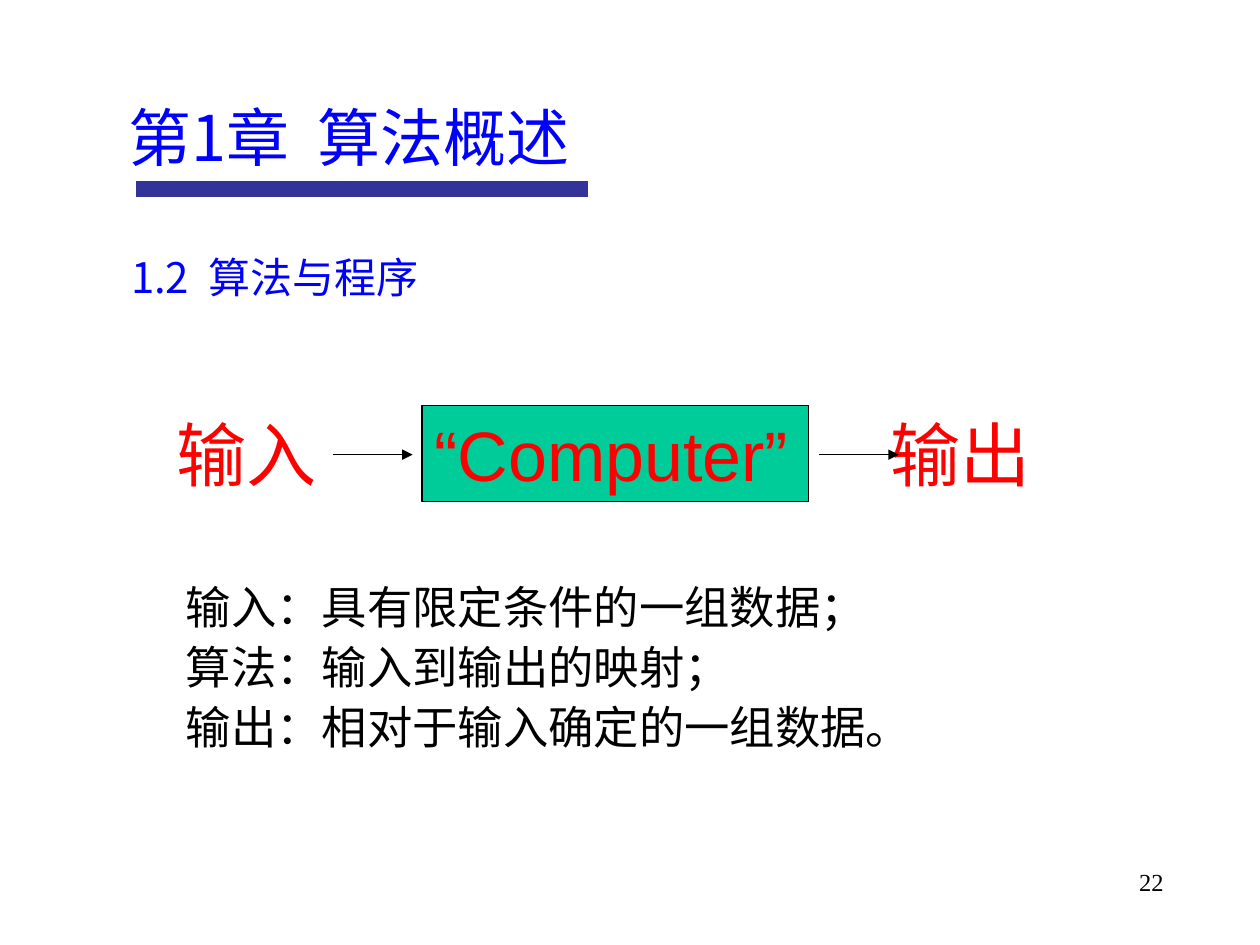
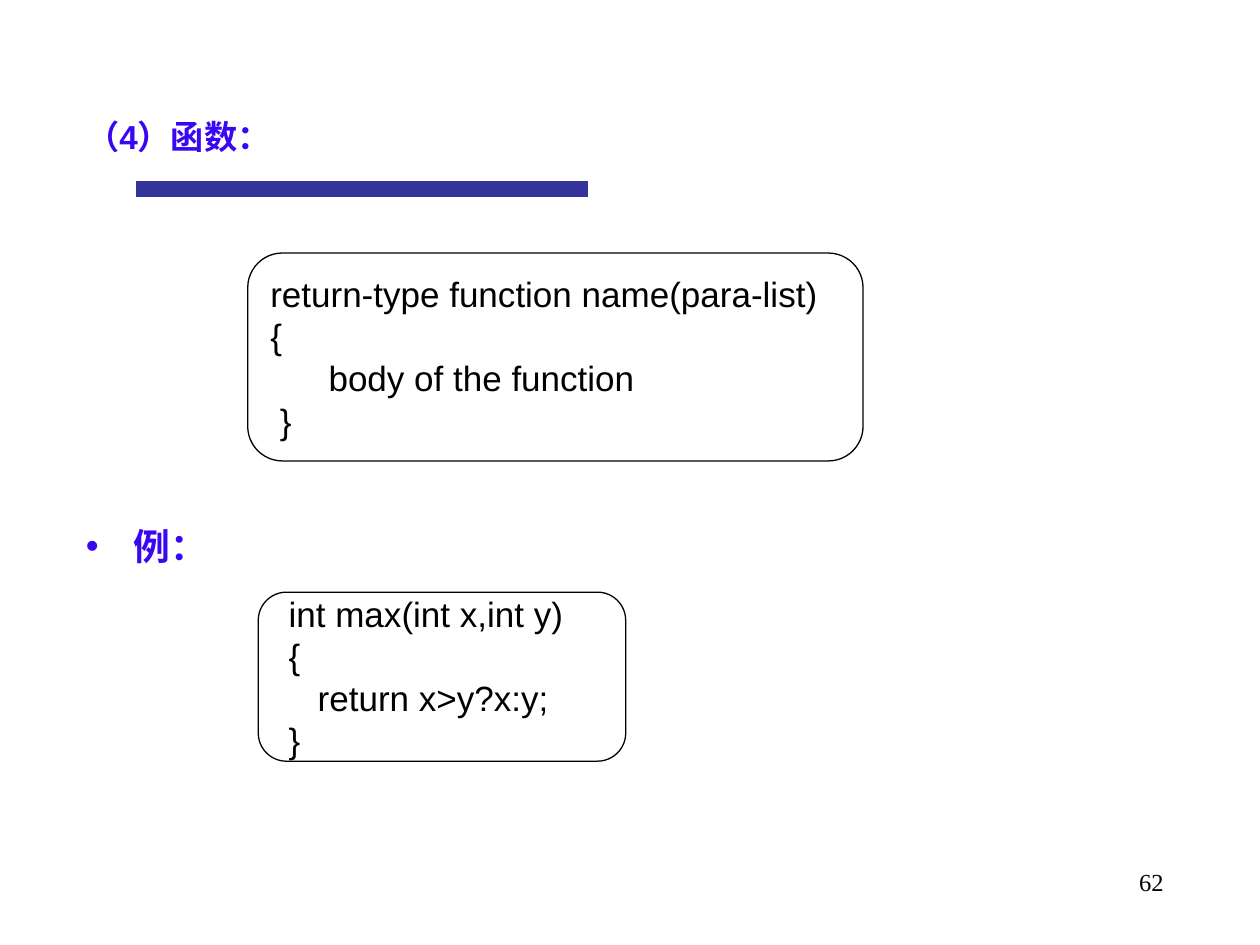
import pptx
import pptx.util
import pptx.dml.color
import pptx.enum.shapes
import pptx.enum.text
import pptx.oxml
import pptx.oxml.ns
import lxml.etree

RGB = pptx.dml.color.RGBColor
BLACK, WHITE = RGB(0, 0, 0), RGB(255, 255, 255)
BLUE, RED = RGB(0, 0, 255), RGB(255, 0, 0)
VIOLET, NAVY, GREEN = RGB(0x39, 0x07, 0xF1), RGB(0x33, 0x33, 0x99), RGB(0, 0xCC, 0x99)
SANS, HAN, SERIF = "Arial", "Noto Sans CJK SC", "Times New Roman"
ALIGN = pptx.enum.text.PP_ALIGN
ANCHOR = pptx.enum.text.MSO_ANCHOR
FORM = pptx.enum.shapes.MSO_SHAPE
qn = pptx.oxml.ns.qn

deck = pptx.Presentation()
deck.slide_width = pptx.util.Inches(10)
deck.slide_height = pptx.util.Inches(7.5)
UNIT = deck.slide_width / 120  # grid of 120 columns by 90 rows


def write(shape, grid, lines, font, anchor=ANCHOR.MIDDLE, align=ALIGN.LEFT, gap=1.0):
    """Place a shape on the grid and fill it with formatted lines."""
    for name, cell in zip(("left", "top", "width", "height"), grid):
        setattr(shape, name, round(cell * UNIT))
    frame = shape.text_frame
    frame.text = lines
    frame.word_wrap = True
    frame.auto_size = pptx.enum.text.MSO_AUTO_SIZE.NONE
    frame.vertical_anchor = anchor
    for para in frame.paragraphs:
        para.alignment = align
        para.line_spacing = gap
        for run in para.runs:
            for name, value in font.items():
                if name == "color":
                    run.font.color.rgb = value
                else:
                    setattr(run.font, name, value)
            east = lxml.etree.SubElement(run.font._element, qn("a:ea"))
            east.set("typeface", HAN)
    return frame


def rule(slide, start, end, row, color, width):
    """Draw a level line between two columns."""
    line = slide.shapes.add_connector(
        pptx.enum.shapes.MSO_CONNECTOR.STRAIGHT,
        *(round(cell * UNIT) for cell in (start, row, end, row)))
    line.line.color.rgb = color
    line.line.width = pptx.util.Pt(width)
    lxml.etree.SubElement(line._element.spPr, qn("a:effectLst"))
    return line


# Shared parts: title, bar and page number
Pt = pptx.util.Pt
pages = [
    ("第1章  算法概述", (11, 8, 67, 10), dict(name=HAN, size=Pt(36), color=BLUE), "22"),
    ("（4）函数：", (7, 5, 105, 16),
     dict(name=SANS, size=Pt(19), color=VIOLET, bold=True), "62"),
]
slides = []
for title, grid, font, number in pages:
    slide = deck.slides.add_slide(deck.slide_layouts[5])
    rule(slide, 13, 56, 18, NAVY, 9.5)
    write(slide.shapes.title, grid, title, font)
    write(slide.shapes.add_textbox(0, 0, 0, 0), (86, 82, 26, 6), number,
          dict(name=SERIF, size=Pt(14), color=BLACK), ANCHOR.TOP, ALIGN.RIGHT)
    slides.append(slide)
intro, func = slides

# Section heading
write(intro.shapes.add_textbox(0, 0, 0, 0), (11.3, 23.4, 36, 6), "1.2  算法与程序",
      dict(name=HAN, size=Pt(24), color=BLUE), ANCHOR.TOP)

# Flow from input to output
large = dict(name=SANS, size=Pt(40), color=RED)
for label, left, width in (("输入", 15.6, 18.8), ("“Computer”", 40.2, 36.8),
                           ("输出", 83.6, 18.8)):
    box = intro.shapes.add_shape(FORM.RECTANGLE, 0, 0, 0, 0)
    box.shadow.inherit = False
    if label == "“Computer”":
        box.fill.solid()
        box.fill.fore_color.rgb = GREEN
        box.line.color.rgb = BLACK
        box.line.width = Pt(0.75)
    else:
        box.fill.background()
        box.line.fill.background()
    write(box, (left, 38.6, width, 9.2), label, large)
for start in (31.7, 78):
    arrow = rule(intro, start, start + 7.6, 43.3, BLACK, 0.75)
    tip = lxml.etree.SubElement(arrow.line._get_or_add_ln(), qn("a:tailEnd"))
    tip.set("type", "triangle")

# Meaning of each term
write(intro.shapes.add_textbox(0, 0, 0, 0), (16.5, 54, 86, 18.4),
      "输入：具有限定条件的一组数据；\v算法：输入到输出的映射；\v输出：相对于输入确定的一组数据。",
      dict(name=SERIF, size=Pt(25.9), color=BLACK), gap=1.1)

# Code frames: general form and example
codes = [
    ((23.6, 24.1, 58.6, 19.8),
     "return-type function name(para-list)\n{\n      body of the function\n }"),
    ((24.6, 56.4, 35, 16.1),
     " int max(int x,int y)\n {\n    return x>y?x:y;\n }"),
]
for grid, code in codes:
    box = func.shapes.add_shape(FORM.ROUNDED_RECTANGLE, 0, 0, 0, 0)
    box.shadow.inherit = False
    box.fill.solid()
    box.fill.fore_color.rgb = WHITE
    box.line.color.rgb = BLACK
    box.line.width = Pt(0.75)
    write(box, grid, code, dict(name=SANS, size=Pt(20), color=BLACK))

# Bulleted lead to the example
frame = write(func.shapes.add_textbox(0, 0, 0, 0), (7, 49, 40, 6), "例：",
              dict(name=SANS, size=Pt(21), color=VIOLET, bold=True))
props = frame.paragraphs[0]._p.get_or_add_pPr()
indent = pptx.util.Inches(0.38)
props.set("marL", str(indent))
props.set("indent", str(-indent))
tint = lxml.etree.SubElement(props, qn("a:buClr"))
lxml.etree.SubElement(tint, qn("a:srgbClr")).set("val", str(VIOLET))
lxml.etree.SubElement(props, qn("a:buFont")).set("typeface", SANS)
lxml.etree.SubElement(props, qn("a:buChar")).set("char", "•")

deck.save("out.pptx")
